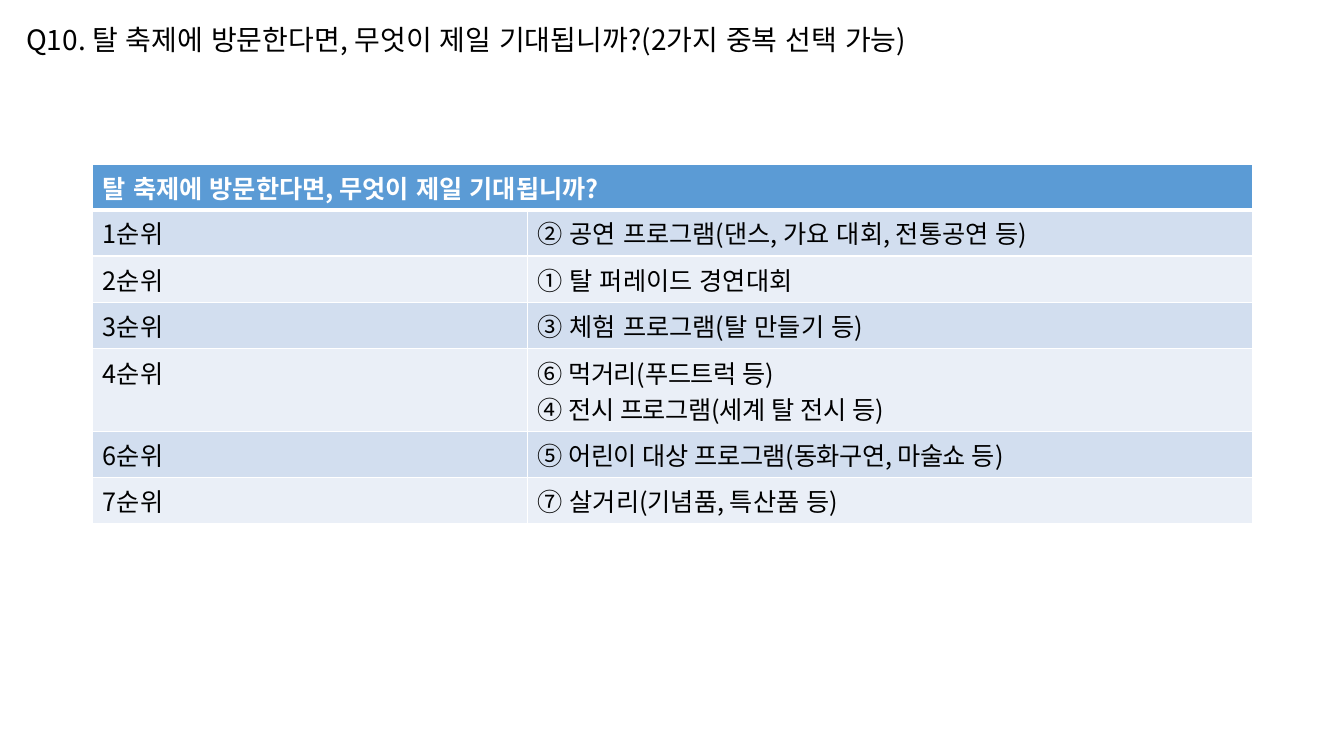
from lxml import etree
from pptx import Presentation
from pptx import util as u
from pptx.dml.color import RGBColor
from pptx.enum import lang, text
from pptx.oxml import ns

FONT = "Noto Sans CJK KR"
COLORS = {"ink": "000000", "white": "FFFFFF", "header": "5B9BD5",
          "odd": "D2DEEF", "even": "EAEFF7"}
QUESTION = "탈 축제에 방문한다면, 무엇이 제일 기대됩니까?"
# Rank, answers, letter spacing in points
RANKING = [
    ("1순위", ["② 공연 프로그램(댄스, 가요 대회, 전통공연 등)"], 0),
    ("2순위", ["① 탈 퍼레이드 경연대회"], 0),
    ("3순위", ["③ 체험 프로그램(탈 만들기 등)"], 0),
    ("4순위", ["⑥ 먹거리(푸드트럭 등)", "④ 전시 프로그램(세계 탈 전시 등)"], -0.4),
    ("6순위", ["⑤ 어린이 대상 프로그램(동화구연, 마술쇼 등)"], -0.4),
    ("7순위", ["⑦ 살거리(기념품, 특산품 등)"], 0),
]
HEADER_HEIGHT, CELL_PADDING, LINE_HEIGHT = 0.45, 0.1, 0.36


def rgb(name):
    return RGBColor.from_string(COLORS[name])


def add_span(para, words, size, color="ink", bold=False, spacing=0):
    span = para.add_run()
    span.text = words
    font = span.font
    font.size, font.name, font.bold = u.Pt(size), FONT, bold
    font.language_id = lang.MSO_LANGUAGE_ID.KOREAN
    font.color.rgb = rgb(color)
    props = span._r.get_or_add_rPr()
    if spacing:
        props.set("spc", str(round(spacing * 100)))
    east_asian = etree.Element(ns.qn("a:ea"), typeface=FONT)
    props.find(ns.qn("a:latin")).addnext(east_asian)


def set_borders(cell, bottom):
    props = cell._tc.get_or_add_tcPr()
    widths = {"lnL": 1, "lnR": 1, "lnT": 1, "lnB": bottom}
    for index, (side, width) in enumerate(widths.items()):
        line = etree.Element(ns.qn("a:" + side), w=str(u.Pt(width)))
        fill = etree.SubElement(line, ns.qn("a:solidFill"))
        etree.SubElement(fill, ns.qn("a:srgbClr"), val=COLORS["white"])
        props.insert(index, line)


def fill_cell(cell, lines, fill, bottom=1, **style):
    cell.fill.solid()
    cell.fill.fore_color.rgb = rgb(fill)
    set_borders(cell, bottom)
    for index, words in enumerate(lines):
        frame = cell.text_frame
        para = frame.add_paragraph() if index else frame.paragraphs[0]
        add_span(para, words, 18, **style)


def add_title(page, left, top, width, height):
    title = page.shapes.title
    title.left, title.top = u.Inches(left), u.Inches(top)
    title.width, title.height = u.Inches(width), u.Inches(height)
    frame = title.text_frame
    frame.word_wrap = False
    frame.auto_size = text.MSO_AUTO_SIZE.SHAPE_TO_FIT_TEXT
    frame.vertical_anchor = text.MSO_ANCHOR.TOP
    para = frame.paragraphs[0]
    para.alignment = text.PP_ALIGN.LEFT
    add_span(para, f"Q10. {QUESTION}(2가지 중복 선택 가능)", 20)


def add_ranking(page, left, top, width, height):
    box = [u.Inches(n) for n in (left, top, width, height)]
    table = page.shapes.add_table(len(RANKING) + 1, 2, *box).table
    rank_width = 4.31
    table.columns[0].width = u.Inches(rank_width)
    table.columns[1].width = u.Inches(width - rank_width)

    # Header across both columns
    table.rows[0].height = u.Inches(HEADER_HEIGHT)
    table.cell(0, 0).merge(table.cell(0, 1))
    for column, lines in enumerate([[QUESTION], []]):
        fill_cell(table.cell(0, column), lines, "header", bottom=3,
                  color="white", bold=True)

    # Banded ranking rows, as tall as their answers
    for row, (rank, answers, spacing) in enumerate(RANKING, 1):
        row_height = CELL_PADDING + LINE_HEIGHT * len(answers)
        table.rows[row].height = u.Inches(row_height)
        band = "odd" if row % 2 else "even"
        fill_cell(table.cell(row, 0), [rank], band)
        fill_cell(table.cell(row, 1), answers, band, spacing=spacing)


deck = Presentation()
deck.slide_width, deck.slide_height = u.Inches(13.33), u.Inches(7.5)
page = deck.slides.add_slide(deck.slide_layouts[5])
add_ranking(page, 0.92, 1.63, 11.5, 3.58)
add_title(page, 0.16, 0.17, 9.76, 0.44)
deck.save("out.pptx")
